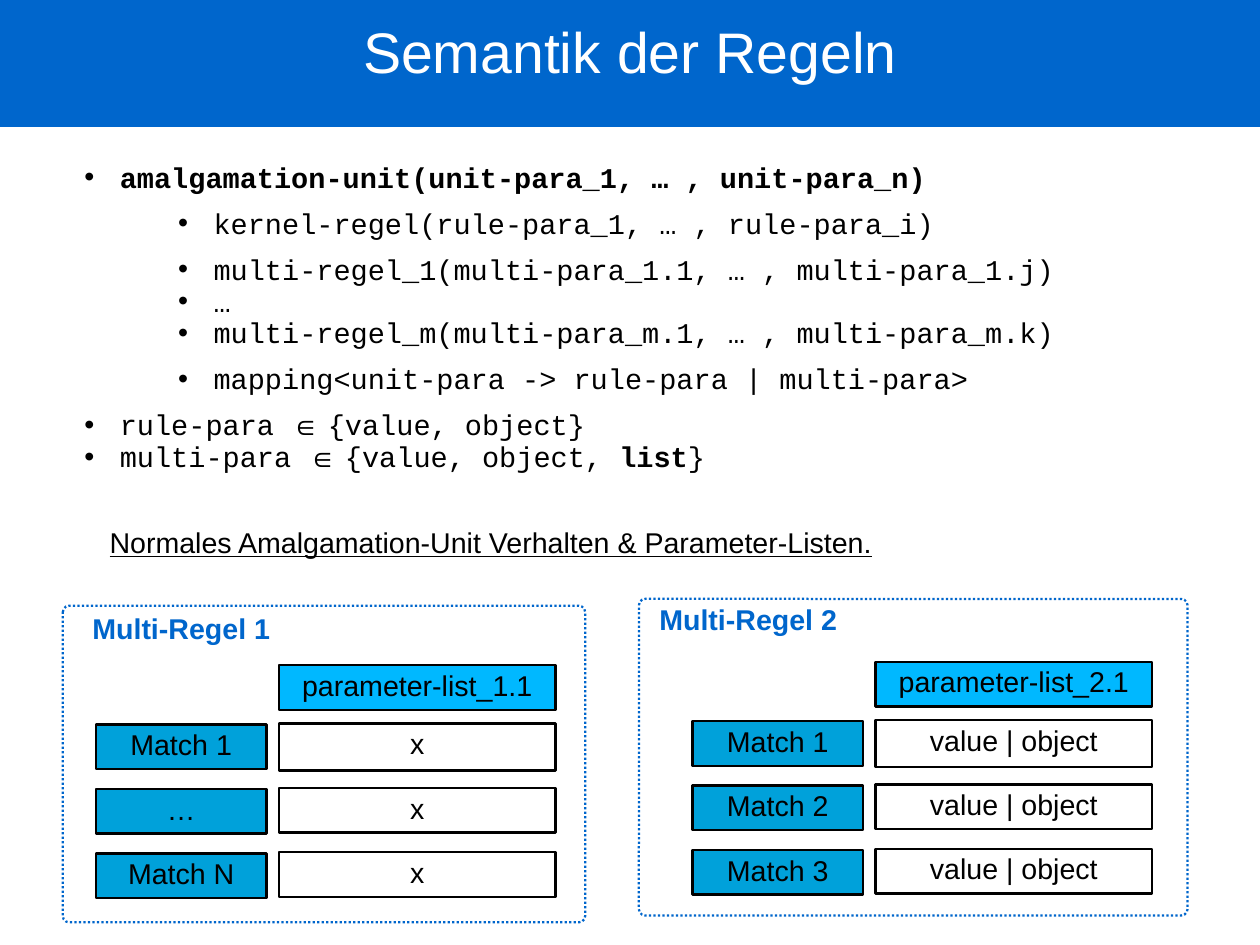
import pptx
import pptx.dml.color
import pptx.enum.dml
import pptx.enum.shapes
import pptx.enum.text
import pptx.util
import lxml.etree

Pt = pptx.util.Pt
SHAPE = pptx.enum.shapes.MSO_SHAPE
ALIGN = pptx.enum.text.PP_ALIGN
ANCHOR = pptx.enum.text.MSO_ANCHOR
NS = "{http://schemas.openxmlformats.org/drawingml/2006/main}"
WIDE, HIGH = pptx.util.Cm(28), pptx.util.Cm(21)
UNIT = pptx.util.Inches(0.01)
BLUE, BLACK, WHITE = "0066CC", "000000", "FFFFFF"
MONO = "Courier New"


def hue(code):
    return pptx.dml.color.RGBColor.from_string(code)


def grid(*nums):
    return [round(num * UNIT) for num in nums]


def write(par, text, size=18, font="Arial", color=BLACK, bold=False, under=False):
    run = par.add_run()
    run.text = text
    run.font.size = Pt(size)
    run.font.name = font
    run.font.color.rgb = hue(color)
    run.font.bold = bold
    run.font.underline = under


def setup(shape, pads=(10, 5, 10, 5), anchor=ANCHOR.TOP):
    frame = shape.text_frame
    frame.word_wrap = True
    frame.vertical_anchor = anchor
    (frame.margin_left, frame.margin_top,
     frame.margin_right, frame.margin_bottom) = grid(*pads)
    par = frame.paragraphs[0]
    par.line_spacing = 0.93
    return par


def block(slide, box, fill=None, line=None, width=1.5, kind=SHAPE.RECTANGLE):
    shape = slide.shapes.add_shape(kind, *grid(*box))
    shape.shadow.inherit = False
    if fill:
        shape.fill.solid()
        shape.fill.fore_color.rgb = hue(fill)
    else:
        shape.fill.background()
    if line:
        shape.line.color.rgb = hue(line)
        shape.line.width = Pt(width)
    else:
        shape.line.fill.background()
    return shape


def label(slide, box, text, top=5, **style):
    shape = slide.shapes.add_textbox(*grid(*box))
    write(setup(shape, (10, top, 0, 5)), text, **style)


def cell(slide, box, text, fill=None):
    par = setup(block(slide, box, fill, BLACK))
    par.alignment = ALIGN.CENTER
    write(par, text)


def header(slide, box, text):
    par = setup(block(slide, box, BLUE), (0, 3, 0, 0), ANCHOR.MIDDLE)
    par.alignment = ALIGN.CENTER
    write(par, text, size=36, color=WHITE)


def bullet(par, level):
    props = par._p.get_or_add_pPr()
    left, hang = grid((31, 113)[level], -31)
    props.set("marL", str(left))
    props.set("indent", str(hang))
    tint = lxml.etree.SubElement(props, NS + "buClr")
    lxml.etree.SubElement(tint, NS + "srgbClr", val=BLACK)
    lxml.etree.SubElement(props, NS + "buFont", typeface="Arial")
    lxml.etree.SubElement(props, NS + "buChar", char="•")
    par.level = level


def outline(slide, box, items):
    shape = slide.shapes.add_textbox(*grid(*box))
    setup(shape, (10, 5, 0, 5))
    frame = shape.text_frame
    for pos, (level, gap, runs) in enumerate(items):
        par = frame.add_paragraph() if pos else frame.paragraphs[0]
        bullet(par, level)
        par.line_spacing = Pt(20.1)
        par.space_before = Pt(8.8 if gap else 0)
        for text, font, bold in runs:
            write(par, text, font=font, bold=bold)


def panel(slide, box, title, shift, start, head, pairs):
    left, top = box[:2]
    frame = block(slide, box, None, BLUE, 1.42, SHAPE.ROUNDED_RECTANGLE)
    frame.adjustments[0] = 0.02
    frame.line.dash_style = pptx.enum.dml.MSO_LINE.ROUND_DOT
    label(slide, (left + shift[0], top + shift[1], 281, 39), title,
          top=7, color=BLUE, bold=True)
    x, y = left + start[0], top + start[1]
    cell(slide, (x + 160, y, 242, 39), head, "00B8FF")
    for row, (match, value) in enumerate(pairs):
        base = y + 51 + 56.3 * row
        cell(slide, (x + 160, base, 242, 39 if row else 41), value)
        cell(slide, (x, base + 1, 149, 39), match, "00A1DA")


def plain(text, bold=False):
    return [(text, MONO, bold)]


def member(name, *rest):
    return [(name + " ", MONO, False), ("∈ ", "Arial", False), *rest]


ITEMS = [
    (0, False, plain("amalgamation-unit(unit-para_1, … , unit-para_n)", True)),
    (1, True, plain("kernel-regel(rule-para_1, … , rule-para_i)")),
    (1, True, plain("multi-regel_1(multi-para_1.1, … , multi-para_1.j)")),
    (1, False, plain("…")),
    (1, False, plain("multi-regel_m(multi-para_m.1, … , multi-para_m.k)")),
    (1, True, plain("mapping<unit-para -> rule-para | multi-para>")),
    (0, True, member("rule-para", *plain("{value, object}"))),
    (0, False, member("multi-para", *plain("{value, object, "),
                      *plain("list", True), *plain("}"))),
]


def main():
    deck = pptx.Presentation()
    deck.slide_width = WIDE
    deck.slide_height = HIGH
    slide = deck.slides.add_slide(deck.slide_layouts[6])
    header(slide, (0, -19, WIDE / UNIT, 130), "Semantik der Regeln")
    outline(slide, (64, 137, 867, 312), ITEMS)
    label(slide, (86, 457, 689, 38),
          "Normales Amalgamation-Unit Verhalten & Parameter-Listen.", under=True)
    panel(slide, (55, 530, 457, 277), "Multi-Regel 1", (16, 0), (29, 52),
          "parameter-list_1.1", [(name, "x") for name in ("Match 1", "…", "Match N")])
    panel(slide, (559, 524, 480, 277), "Multi-Regel 2", (8, -2), (47, 55),
          "parameter-list_2.1",
          [(f"Match {num}", "value | object") for num in (1, 2, 3)])
    deck.save("out.pptx")


if __name__ == "__main__":
    main()
